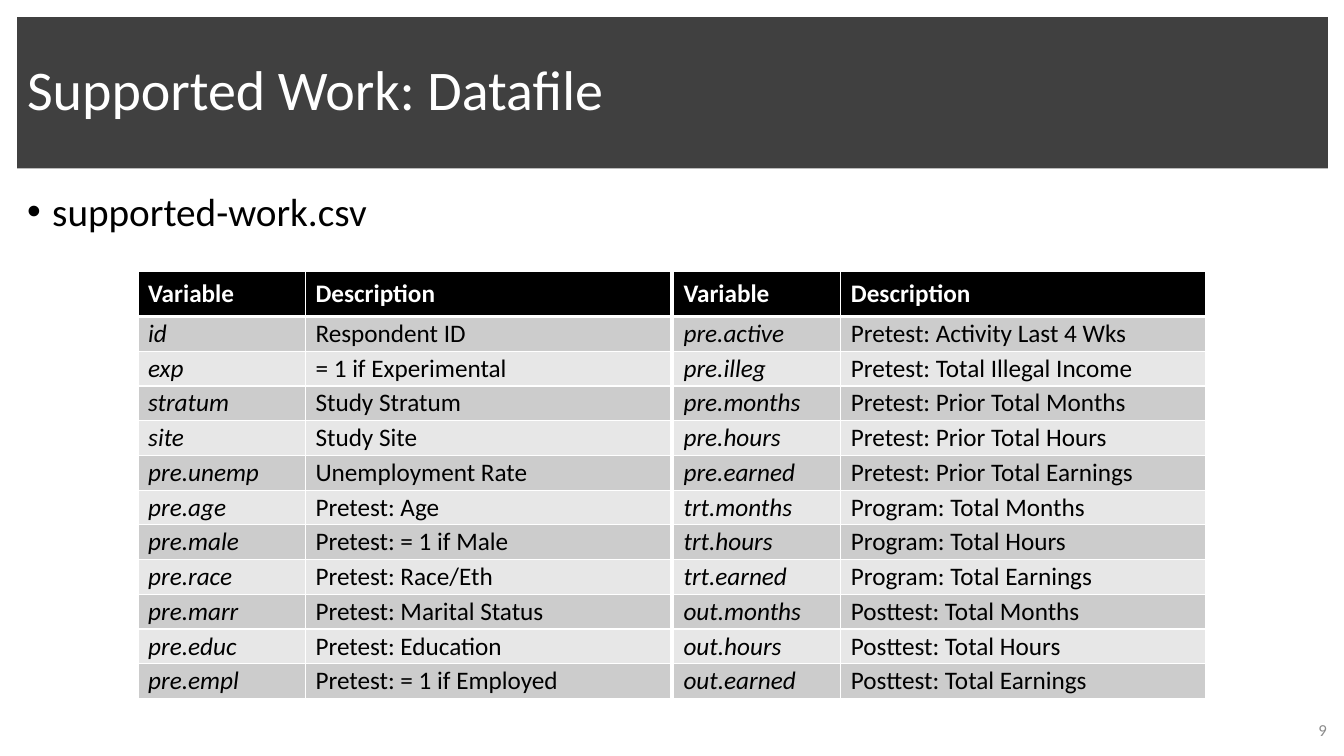
from lxml import etree
from pptx import Presentation
from pptx import util as u
from pptx.dml.color import RGBColor
from pptx.enum import shapes, text
from pptx.oxml.ns import qn

FONT = "Calibri"
HEADINGS = ("Variable", "Description")
BACKGROUND_VARIABLES = [
    ("id", "Respondent ID"),
    ("exp", "= 1 if Experimental"),
    ("stratum", "Study Stratum"),
    ("site", "Study Site"),
    ("pre.unemp", "Unemployment Rate"),
    ("pre.age", "Pretest: Age"),
    ("pre.male", "Pretest: = 1 if Male"),
    ("pre.race", "Pretest: Race/Eth"),
    ("pre.marr", "Pretest: Marital Status"),
    ("pre.educ", "Pretest: Education"),
    ("pre.empl", "Pretest: = 1 if Employed"),
]
WORK_VARIABLES = [
    ("pre.active", "Pretest: Activity Last 4 Wks"),
    ("pre.illeg", "Pretest: Total Illegal Income"),
    ("pre.months", "Pretest: Prior Total Months"),
    ("pre.hours", "Pretest: Prior Total Hours"),
    ("pre.earned", "Pretest: Prior Total Earnings"),
    ("trt.months", "Program: Total Months"),
    ("trt.hours", "Program: Total Hours"),
    ("trt.earned", "Program: Total Earnings"),
    ("out.months", "Posttest: Total Months"),
    ("out.hours", "Posttest: Total Hours"),
    ("out.earned", "Posttest: Total Earnings"),
]


def color(value):
    return RGBColor.from_string(value)


def inches(box):
    return [u.Inches(length) for length in box]


def set_font(paragraph, size, value, bold=False, italic=False):
    font = paragraph.font
    font.name, font.size = FONT, u.Pt(size)
    font.bold, font.italic = bold, italic
    font.color.rgb = color(value)


def add_title(slide, box, title):
    shape = slide.shapes.add_shape(shapes.MSO_SHAPE.RECTANGLE, *inches(box))
    shape.shadow.inherit = False
    shape.fill.solid()
    shape.fill.fore_color.rgb = color("404040")
    shape.line.fill.background()
    frame = shape.text_frame
    frame.word_wrap = True
    frame.vertical_anchor = text.MSO_ANCHOR.MIDDLE
    paragraph = frame.paragraphs[0]
    paragraph.text = title
    paragraph.alignment = text.PP_ALIGN.LEFT
    paragraph.line_spacing = 0.9
    set_font(paragraph, 40, "FFFFFF")


def add_bullet(slide, box, content):
    frame = slide.shapes.add_textbox(*inches(box)).text_frame
    frame.word_wrap = True
    paragraph = frame.paragraphs[0]
    paragraph.text = content
    properties = paragraph._p.get_or_add_pPr()
    properties.set("marL", str(u.Inches(0.25)))
    properties.set("indent", str(u.Inches(-0.25)))
    etree.SubElement(properties, qn("a:buFont")).set("typeface", "Arial")
    etree.SubElement(properties, qn("a:buChar")).set("char", "•")
    set_font(paragraph, 28, "000000")


def add_page_number(slide, box, number):
    frame = slide.shapes.add_textbox(*inches(box)).text_frame
    frame.word_wrap = True
    frame.vertical_anchor = text.MSO_ANCHOR.MIDDLE
    paragraph = frame.paragraphs[0]
    paragraph.text = number
    paragraph.alignment = text.PP_ALIGN.RIGHT
    set_font(paragraph, 12, "8C8C8C")


def set_borders(cell, top, bottom):
    properties = cell._tc.get_or_add_tcPr()
    for side, width in (("L", 1), ("R", 1), ("T", top), ("B", bottom)):
        line = etree.SubElement(properties, qn(f"a:ln{side}"), w=str(u.Pt(width)))
        fill = etree.SubElement(line, qn("a:solidFill"))
        etree.SubElement(fill, qn("a:srgbClr"), val="FFFFFF")


def fill_cell(cell, content, row, column):
    header = row == 0
    set_borders(cell, 3 if row == 1 else 1, 3 if header else 1)
    cell.fill.solid()
    cell.fill.fore_color.rgb = color("000000" if header else ("E7E7E7", "CCCCCC")[row % 2])
    cell.vertical_anchor = text.MSO_ANCHOR.MIDDLE
    if not header:
        cell.margin_left = u.Inches(0.1)
        cell.margin_right = cell.margin_top = cell.margin_bottom = 0
    paragraph = cell.text_frame.paragraphs[0]
    paragraph.text = content
    set_font(paragraph, 18, "FFFFFF" if header else "000000",
             bold=header, italic=not header and column == 0)


def add_variable_table(slide, box, variables):
    rows = [HEADINGS, *variables]
    table = slide.shapes.add_table(len(rows), len(HEADINGS), *inches(box)).table
    width, height = box[2:]
    variable_width, header_height = 1.66, 0.45
    table.columns[0].width = u.Inches(variable_width)
    table.columns[1].width = u.Inches(width - variable_width)
    for row, contents in enumerate(rows):
        table.rows[row].height = u.Inches(
            (height - header_height) / len(variables) if row else header_height)
        for column, content in enumerate(contents):
            fill_cell(table.cell(row, column), content, row, column)


def main():
    presentation = Presentation()
    presentation.slide_width = u.Inches(13.33)
    presentation.slide_height = u.Inches(7.5)
    slide = presentation.slides.add_slide(presentation.slide_layouts[6])
    add_title(slide, (0.17, 0.17, 13, 1.5), "Supported Work: Datafile")
    add_bullet(slide, (0.17, 1.81, 13, 5.53), "supported-work.csv")
    add_page_number(slide, (9.76, 7.04, 3.5, 0.4), "9")
    for left, variables in ((1.37, BACKGROUND_VARIABLES), (6.68, WORK_VARIABLES)):
        add_variable_table(slide, (left, 2.69, 5.28, 4.24), variables)
    presentation.save("out.pptx")


if __name__ == "__main__":
    main()
